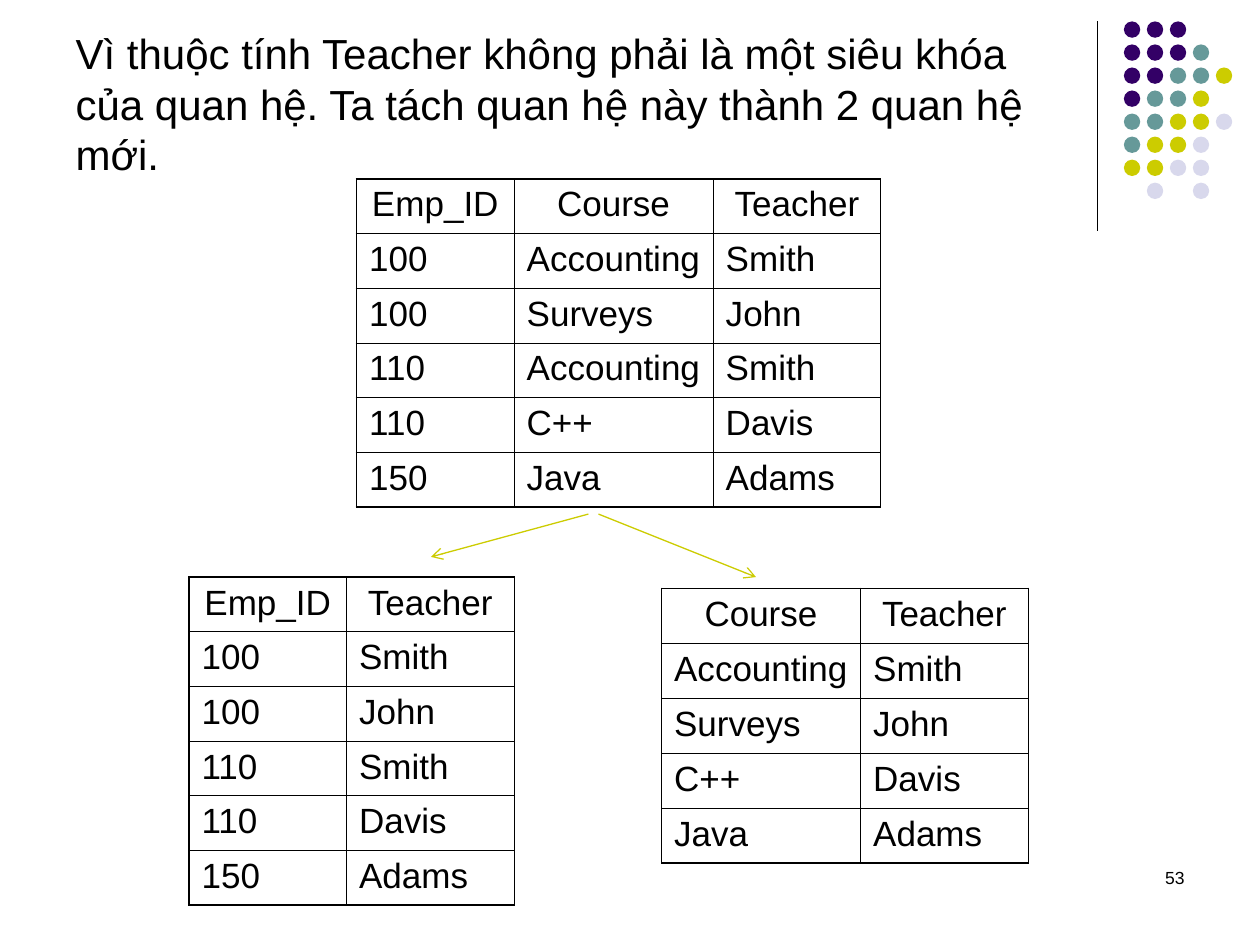
from pptx import Presentation
from pptx.dml.color import RGBColor
from pptx.enum import shapes, text
from pptx.oxml.ns import qn
from pptx.util import Inches, Pt
from lxml import etree

BLACK = "000000"
YELLOW = "CCCC00"
DOT_COLORS = {"P": "330066", "T": "669999", "Y": YELLOW, "L": "D8D8EC"}
DOT_ROWS = ["PPP", "PPPT", "PPTTY", "PTTY", "TTYYL", "TYYL", "YYLL", " L L"]
THIN, THICK = 0.45, 1.08
COLUMN_WIDTHS = {"Emp_ID": 1.25, "Course": 1.58, "Teacher": 1.33}

ASSIGNMENTS = [
    ("Emp_ID", "Course", "Teacher"),
    ("100", "Accounting", "Smith"),
    ("100", "Surveys", "John"),
    ("110", "Accounting", "Smith"),
    ("110", "C++", "Davis"),
    ("150", "Java", "Adams"),
]
EMPLOYEE_TEACHERS = [(employee, teacher) for employee, _, teacher in ASSIGNMENTS]
# Each course is listed once, in order of first appearance
COURSE_TEACHERS = list(dict.fromkeys(row[1:] for row in ASSIGNMENTS))


def rgb(value):
    return RGBColor.from_string(value)


def write_text(frame, content, size=20, color=BLACK, align=text.PP_ALIGN.LEFT,
               anchor=text.MSO_ANCHOR.TOP):
    frame.word_wrap = True
    frame.vertical_anchor = anchor
    paragraph = frame.paragraphs[0]
    paragraph.alignment = align
    run = paragraph.add_run()
    run.text = content
    run.font.size = Pt(size)
    run.font.name = "Arial"
    run.font.color.rgb = rgb(color)


def add_title(slide, content):
    title = slide.shapes.title
    title.left, title.top = Inches(0.5), Inches(0.17)
    title.width, title.height = Inches(8.17), Inches(1.3)
    title.text_frame.auto_size = text.MSO_AUTO_SIZE.NONE
    write_text(title.text_frame, content, size=24)


def add_line(slide, start, end, color, arrow=False):
    line = slide.shapes.add_connector(
        shapes.MSO_CONNECTOR.STRAIGHT, *map(Inches, (*start, *end)))
    line.line.color.rgb = rgb(color)
    line.line.width = Pt(0.75)
    if arrow:
        etree.SubElement(line.line._get_or_add_ln(), qn("a:tailEnd"), type="arrow")
    etree.SubElement(line._element.spPr, qn("a:effectLst"))


def add_dots(slide):
    group = slide.shapes.add_group_shape()
    for row, pattern in enumerate(DOT_ROWS):
        for column, key in enumerate(pattern):
            if key == " ":
                continue
            dot = group.shapes.add_shape(
                shapes.MSO_SHAPE.OVAL,
                Inches(8.92 + 0.73 * column / 4), Inches(0.17 + 1.28 * row / 7),
                Inches(0.13), Inches(0.13))
            dot.shadow.inherit = False
            dot.fill.solid()
            dot.fill.fore_color.rgb = rgb(DOT_COLORS[key])
            dot.line.fill.background()


def set_borders(cell, widths):
    """Draw black borders from points given in the order left, right, top, bottom."""
    properties = cell._tc.get_or_add_tcPr()
    for position, (side, width) in enumerate(zip("LRTB", widths)):
        border = etree.Element(qn(f"a:ln{side}"), w=str(Pt(width)))
        fill = etree.SubElement(border, qn("a:solidFill"))
        etree.SubElement(fill, qn("a:srgbClr"), val=BLACK)
        properties.insert(position, border)


def add_relation(slide, rows, left, top, height, left_border=THICK):
    widths = [COLUMN_WIDTHS[name] for name in rows[0]]
    table = slide.shapes.add_table(
        len(rows), len(widths), Inches(left), Inches(top),
        Inches(sum(widths)), Inches(height)).table
    table.first_row = table.horz_banding = False
    for column, width in zip(table.columns, widths):
        column.width = Inches(width)
    last = len(rows) - 1
    for r, values in enumerate(rows):
        table.rows[r].height = Inches(height / len(rows))
        for c, value in enumerate(values):
            cell = table.cell(r, c)
            cell.fill.background()
            write_text(cell.text_frame, value,
                       align=text.PP_ALIGN.LEFT if r else text.PP_ALIGN.CENTER)
            set_borders(cell, (left_border if c == 0 else THIN, THIN,
                               THICK if r == 0 else THIN,
                               THICK if r == last else THIN))


def add_page_number(slide, number):
    box = slide.shapes.add_textbox(
        Inches(7.17), Inches(6.83), Inches(2.33), Inches(0.5))
    write_text(box.text_frame, number, size=10, align=text.PP_ALIGN.RIGHT)


def main():
    presentation = Presentation()
    presentation.slide_width, presentation.slide_height = Inches(10), Inches(7.5)
    slide = presentation.slides.add_slide(presentation.slide_layouts[5])

    add_line(slide, (8.71, 0.17), (8.71, 1.83), BLACK)
    add_dots(slide)
    add_page_number(slide, "53")
    add_title(slide, "Vì thuộc tính Teacher không phải là một siêu khóa của quan hệ. "
                     "Ta tách quan hệ này thành 2 quan hệ mới.")
    add_relation(slide, ASSIGNMENTS, 2.83, 1.42, 2.6)
    add_relation(slide, EMPLOYEE_TEACHERS, 1.5, 4.58, 2.6)
    add_relation(slide, COURSE_TEACHERS, 5.25, 4.67, 2.18, left_border=THIN)
    add_line(slide, (4.67, 4.08), (3.42, 4.42), YELLOW, arrow=True)
    add_line(slide, (4.75, 4.08), (6, 4.58), YELLOW, arrow=True)

    presentation.save("out.pptx")


if __name__ == "__main__":
    main()
